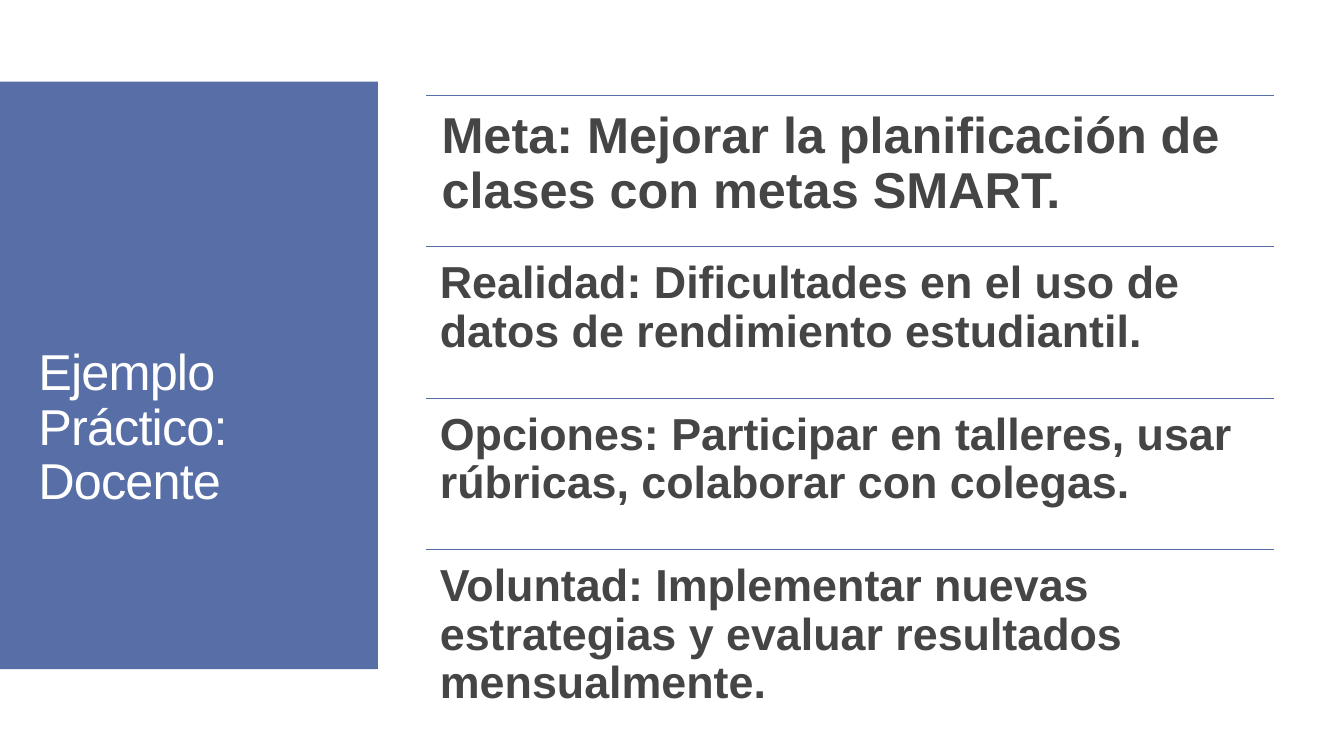
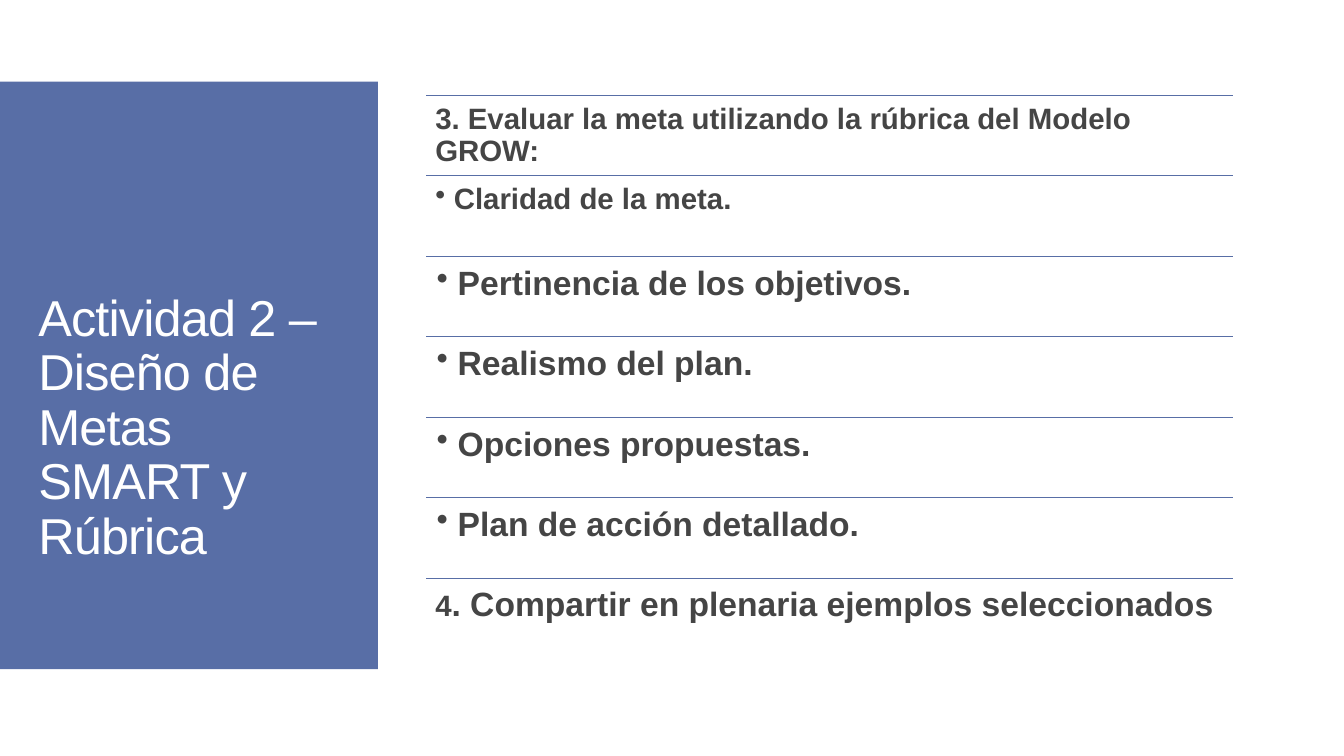
from dataclasses import dataclass

from pptx import Presentation, util as u
from pptx.dml.color import RGBColor
from pptx.enum import shapes, text
from pptx.oxml.ns import qn
from lxml import etree

WIDTH, HEIGHT = u.Inches(13.33), u.Inches(7.5)


@dataclass(frozen=True)
class Theme:
    """Colours, type sizes and line values shared by the slides."""

    accent: RGBColor = RGBColor(0x58, 0x6E, 0xA6)
    ink: RGBColor = RGBColor(0x45, 0x45, 0x45)
    paper: RGBColor = RGBColor(0xFF, 0xFF, 0xFF)
    font: str = "Arial"
    huge: int = 36
    large: int = 32
    medium: int = 24
    small: int = 21
    leading: float = 0.9
    rule: float = 0.85
    inset: float = 0.3
    bullet_indent: float = 0.63
    title_tracking: int = -60


THEME = Theme()
BAND = (0, 10.8, 28.13, 77.73)
TITLE = (2.1, 29.87, 24.15, 53.73)


@dataclass(frozen=True)
class Row:
    """One row: its spans as (words, size) pairs and an optional bullet."""

    spans: tuple
    bullet: bool = False


def row(words, size, bullet=False):
    """Return a row made of a single span."""
    return Row(((words, size),), bullet)


def area(left, top, width, height):
    """Turn percentages of the slide into lengths."""
    return (round(WIDTH * left / 100), round(HEIGHT * top / 100),
            round(WIDTH * width / 100), round(HEIGHT * height / 100))


def apply(target, **values):
    """Set each named attribute on the target."""
    for name, value in values.items():
        setattr(target, name, value)


def add_span(para, words, size, color, bold=False):
    """Add a formatted run to a paragraph."""
    span = para.add_run()
    span.text = words
    apply(span.font, name=THEME.font, size=u.Pt(size), bold=bold)
    span.font.color.rgb = color
    return span


def add_bullet(para, size):
    """Give a paragraph a hanging bullet."""
    indent = u.Pt(size * THEME.bullet_indent)
    props = para._p.get_or_add_pPr()
    props.set("marL", str(indent))
    props.set("indent", str(-indent))
    etree.SubElement(props, qn("a:buChar")).set("char", "•")


def add_band(slide):
    """Draw the side band behind everything else."""
    band = slide.shapes.add_shape(shapes.MSO_SHAPE.RECTANGLE, *area(*BAND))
    band.shadow.inherit = False
    band.fill.solid()
    band.fill.fore_color.rgb = THEME.accent
    band.line.fill.background()
    band.element.getparent().insert(2, band.element)


def set_title(slide, words):
    """Move and format the title placeholder."""
    title = slide.shapes.title
    apply(title, **dict(zip(("left", "top", "width", "height"), area(*TITLE))))
    apply(title.text_frame, word_wrap=True, auto_size=text.MSO_AUTO_SIZE.NONE,
          vertical_anchor=text.MSO_ANCHOR.MIDDLE)
    para = title.text_frame.paragraphs[0]
    apply(para, alignment=text.PP_ALIGN.LEFT, line_spacing=THEME.leading)
    span = add_span(para, words, THEME.huge, THEME.paper)
    span.font._element.set("spc", str(THEME.title_tracking))


def add_rule(slide, left, top, width):
    """Draw a thin horizontal line."""
    rule = slide.shapes.add_connector(
        shapes.MSO_CONNECTOR.STRAIGHT, left, top, left + width, top)
    rule.line.color.rgb = THEME.accent
    rule.line.width = u.Pt(THEME.rule)
    etree.SubElement(rule.element.spPr, qn("a:effectLst"))


def add_row_text(slide, entry, place):
    """Write a row's text with an inset in proportion to its size."""
    size = entry.spans[0][1]
    frame = slide.shapes.add_textbox(*place).text_frame
    sides = ("margin_left", "margin_top", "margin_right", "margin_bottom")
    apply(frame, word_wrap=True, vertical_anchor=text.MSO_ANCHOR.TOP,
          **dict.fromkeys(sides, u.Pt(size * THEME.inset)))
    para = frame.paragraphs[0]
    if entry.bullet:
        add_bullet(para, size)
    para.line_spacing = THEME.leading
    for words, span_size in entry.spans:
        add_span(para, words, span_size, THEME.ink, bold=True)


def add_rows(slide, entries, place):
    """Divide an area into equal ruled rows."""
    left, top, width, height = area(*place)
    pitch = height / len(entries)
    for index, entry in enumerate(entries):
        row_top = round(top + index * pitch)
        add_rule(slide, left, row_top, width)
        add_row_text(slide, entry, (left, row_top, width, round(pitch)))


def add_page(deck, title, entries, place):
    """Add a slide with a titled side band and ruled rows."""
    page = deck.slides.add_slide(deck.slide_layouts[5])
    add_band(page)
    set_title(page, title)
    add_rows(page, entries, place)


def main():
    """Build and save the deck."""
    deck = Presentation()
    apply(deck, slide_width=WIDTH, slide_height=HEIGHT)
    add_page(deck, "Ejemplo Práctico: Docente", [
        row("Meta: Mejorar la planificación de clases con metas SMART.", THEME.huge),
        row("Realidad: Dificultades en el uso de datos de rendimiento estudiantil.",
            THEME.large),
        row("Opciones: Participar en talleres, usar rúbricas, colaborar con colegas.",
            THEME.large),
        row("Voluntad: Implementar nuevas estrategias y evaluar resultados mensualmente.",
            THEME.large),
    ], (31.73, 12.6, 63.07, 80.13))
    add_page(deck, "Actividad 2 – Diseño de Metas SMART y Rúbrica", [
        row("3. Evaluar la meta utilizando la rúbrica del Modelo GROW:", THEME.small),
        row("Claridad de la meta.", THEME.small, bullet=True),
        row("Pertinencia de los objetivos.", THEME.medium, bullet=True),
        row("Realismo del plan.", THEME.medium, bullet=True),
        row("Opciones propuestas.", THEME.medium, bullet=True),
        row("Plan de acción detallado.", THEME.medium, bullet=True),
        Row((("4", THEME.small),
             (". Compartir en plenaria ejemplos seleccionados", THEME.medium))),
    ], (31.73, 12.6, 60, 74.53))
    deck.save("out.pptx")


if __name__ == "__main__":
    main()
